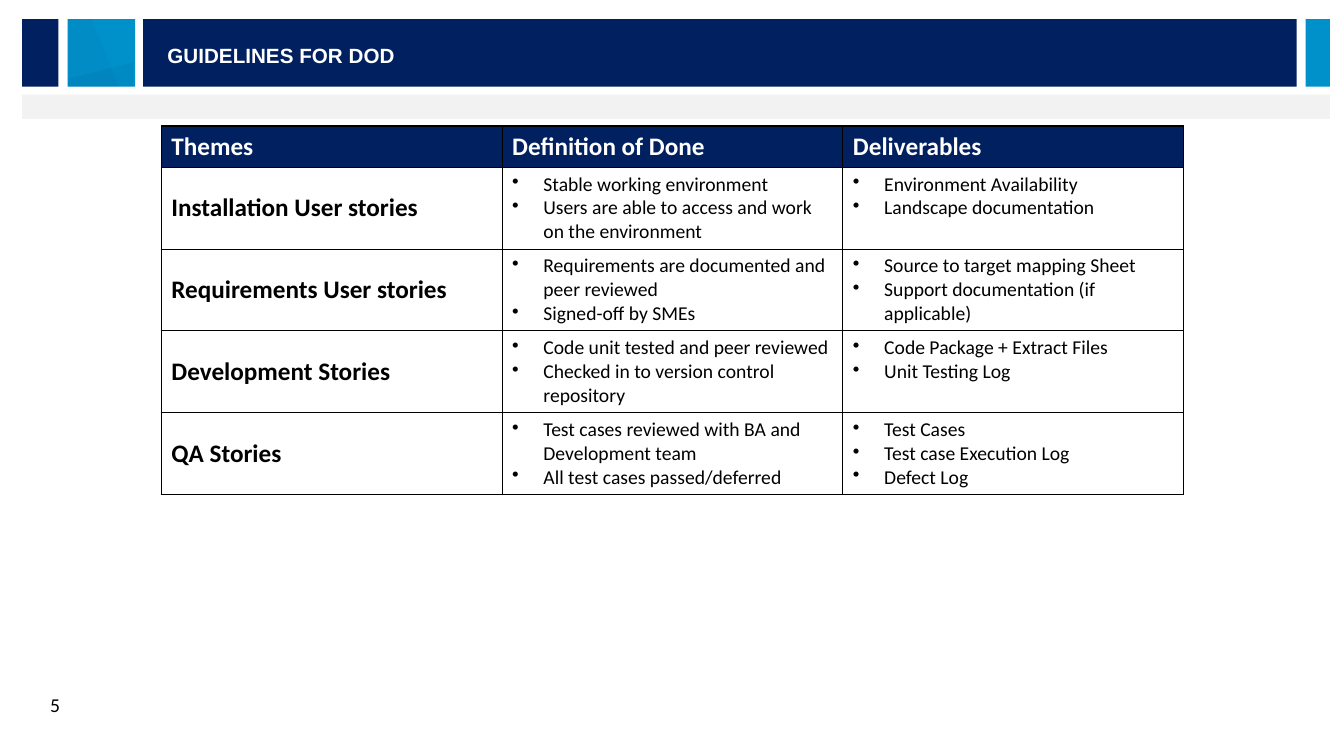
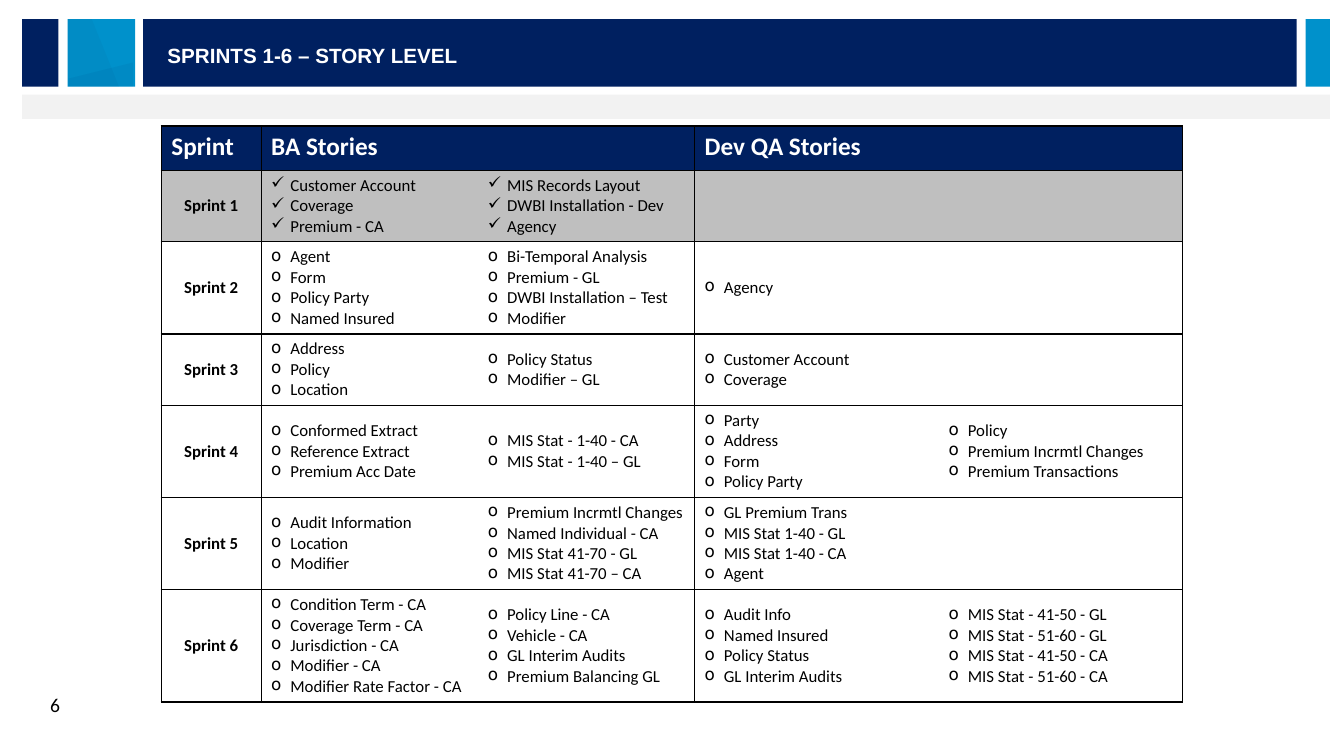
"""Build two project slides: the definition of done and the sprint stories."""
from lxml import etree
from pptx import Presentation
from pptx.dml.color import RGBColor
from pptx.enum.shapes import MSO_SHAPE
from pptx.enum.text import MSO_ANCHOR, MSO_AUTO_SIZE, PP_ALIGN
from pptx.oxml.ns import qn
from pptx.util import Inches, Pt

RECTANGLE = MSO_SHAPE.RECTANGLE
TOP, MIDDLE = MSO_ANCHOR.TOP, MSO_ANCHOR.MIDDLE
LEFT, CENTER = PP_ALIGN.LEFT, PP_ALIGN.CENTER
FIXED, GROW = MSO_AUTO_SIZE.NONE, MSO_AUTO_SIZE.SHAPE_TO_FIT_TEXT

COLORS = {
    "navy": "002060", "blue": "0091CB", "slate": "17375E", "pale": "F2F2F2",
    "done": "BFBFBF", "white": "FFFFFF", "black": "000000",
}
FIRST_PAGE = 5
TABLE_LEFT, TABLE_TOP = 1.6, 1.25
LINE_FACTOR = 1.22
CELL_PADDING = 0.1

BAND_TOP, BAND_HEIGHT = 0.19, 0.67
BAND_BOTTOM = BAND_TOP + BAND_HEIGHT
BANDS = [
    (1.42, BAND_TOP, 11.44, BAND_HEIGHT, "navy"),
    (0.67, BAND_TOP, 0.67, BAND_HEIGHT, "blue"),
    (0.22, BAND_TOP, 0.36, BAND_HEIGHT, "navy"),
    (12.95, BAND_TOP, 0.24, BAND_HEIGHT, "blue"),
    (0.22, 0.94, 12.97, 0.24, "pale"),
]
FACETS = [
    ([(0.67, BAND_TOP), (0.91, BAND_TOP), (1.18, BAND_BOTTOM), (0.67, BAND_BOTTOM)], "slate", 5),
    ([(1.32, 0.62), (0.68, 0.78), (0.68, BAND_BOTTOM), (1.32, BAND_BOTTOM)], "navy", 6),
]

TITLE_FONT = {"name": "Arial", "size": Pt(14.7), "bold": True}
PAGE_FONT = {"name": "Calibri", "size": Pt(14), "bold": False}
HEADER_FONT = {"name": "Calibri", "size": Pt(18), "bold": True}

PAGES = [
    {
        "title": "GUIDELINES FOR DOD",
        "columns": [3.38] * 3,
        "headers": ["Themes", "Definition of Done", "Deliverables"],
        "header_height": 0.41,
        "label": {"size": 18, "align": LEFT},
        "items": {"size": 14, "indent": 0.31, "anchor": TOP},
        "bullet": "•",
        "min_lines": 3,
        "done_rows": 0,
        "rows": [
            ("Installation User stories",
             ["Stable working environment",
              "Users are able to access and work on the environment"],
             ["Environment Availability", "Landscape documentation"]),
            ("Requirements User stories",
             ["Requirements are documented and peer reviewed", "Signed-off by SMEs"],
             ["Source to target mapping Sheet", "Support documentation (if applicable)"]),
            ("Development Stories",
             ["Code unit tested and peer reviewed",
              "Checked in to version control repository"],
             ["Code Package + Extract Files", "Unit Testing Log"]),
            ("QA Stories",
             ["Test cases reviewed with BA and Development team",
              "All test cases passed/deferred"],
             ["Test Cases", "Test case Execution Log", "Defect Log"]),
        ],
    },
    {
        "title": "SPRINTS 1-6 – STORY LEVEL",
        "columns": [0.99, 2.15, 2.15, 2.42, 2.42],
        "headers": ["Sprint", "BA Stories", None, "Dev QA Stories", None],
        "header_height": 0.44,
        "label": {"size": 12, "align": CENTER},
        "items": {"size": 12, "indent": 0.19, "anchor": MIDDLE},
        "bullet": "o",
        "min_lines": 1,
        "done_rows": 1,
        "rows": [
            ("Sprint 1",
             ["Customer Account", "Coverage", "Premium - CA"],
             ["MIS Records Layout", "DWBI Installation - Dev", "Agency"], [], []),
            ("Sprint 2",
             ["Agent", "Form", "Policy Party", "Named Insured"],
             ["Bi-Temporal Analysis", "Premium - GL", "DWBI Installation – Test", "Modifier"],
             ["Agency"], []),
            ("Sprint 3",
             ["Address", "Policy", "Location"],
             ["Policy Status", "Modifier – GL"],
             ["Customer Account", "Coverage"], []),
            ("Sprint 4",
             ["Conformed Extract", "Reference Extract", "Premium Acc Date"],
             ["MIS Stat - 1-40 - CA", "MIS Stat - 1-40 – GL"],
             ["Party", "Address", "Form", "Policy Party"],
             ["Policy", "Premium Incrmtl Changes", "Premium Transactions"]),
            ("Sprint 5",
             ["Audit Information", "Location", "Modifier"],
             ["Premium Incrmtl Changes", "Named Individual - CA",
              "MIS Stat 41-70 - GL", "MIS Stat 41-70 – CA"],
             ["GL Premium Trans", "MIS Stat 1-40 - GL", "MIS Stat 1-40 - CA", "Agent"], []),
            ("Sprint 6",
             ["Condition Term - CA", "Coverage Term - CA", "Jurisdiction - CA",
              "Modifier - CA", "Modifier Rate Factor - CA"],
             ["Policy Line - CA", "Vehicle - CA", "GL Interim Audits", "Premium Balancing GL"],
             ["Audit Info", "Named Insured", "Policy Status", "GL Interim Audits"],
             ["MIS Stat - 41-50 - GL", "MIS Stat - 51-60 - GL",
              "MIS Stat - 41-50 - CA", "MIS Stat - 51-60 - CA"]),
        ],
    },
]


def rgb(color):
    return RGBColor.from_string(COLORS[color])


def place(shape, left, top, width, height):
    for name, value in zip(("left", "top", "width", "height"), (left, top, width, height)):
        setattr(shape, name, Inches(value))


def write(para, text, font, color, align=LEFT):
    para.alignment = align
    span = para.add_run()
    span.text = text
    for name, value in font.items():
        setattr(span.font, name, value)
    span.font.color.rgb = rgb(color)


def paint(shape, color):
    shape.shadow.inherit = False
    shape.fill.solid()
    shape.fill.fore_color.rgb = rgb(color)
    shape.line.fill.background()


def add_bands(layout, page):
    """Draw the shared bands and hand them over to the layout."""
    for placeholder in list(layout.placeholders)[1:]:
        placeholder.element.getparent().remove(placeholder.element)
    parts = []
    for left, top, width, height, color in BANDS:
        box = page.shapes.add_shape(RECTANGLE, *map(Inches, (left, top, width, height)))
        paint(box, color)
        parts.append(box)
    for points, color, opacity in FACETS:
        corners = [(Inches(x), Inches(y)) for x, y in points]
        builder = page.shapes.build_freeform(*corners[0])
        builder.add_line_segments(corners[1:], close=True)
        facet = builder.convert_to_shape()
        paint(facet, color)
        tint = facet.element.find(".//" + qn("a:srgbClr"))
        etree.SubElement(tint, qn("a:alpha"), val=str(opacity * 1000))
        parts.append(facet)
    for part in parts:
        layout.shapes.element.append(part.element)


def add_title(page, text):
    title = page.shapes.title
    place(title, 1.56, 0.38, 8.22, 0.33)
    frame = title.text_frame
    frame.auto_size = FIXED
    frame.vertical_anchor = MIDDLE
    write(frame.paragraphs[0], text, TITLE_FONT, "white")


def add_page_number(page, number):
    box = page.shapes.add_textbox(*map(Inches, (0.4, 6.83, 0.3, 0.34)))
    box.text_frame.word_wrap = False
    box.text_frame.auto_size = GROW
    write(box.text_frame.paragraphs[0], str(number), PAGE_FONT, "black")


def style_cell(cell, color, open_side=None):
    properties = cell._tc.get_or_add_tcPr()
    for side in "LRTB":
        line = etree.SubElement(properties, qn("a:ln" + side), w=str(Pt(1)))
        if side == open_side:
            etree.SubElement(line, qn("a:noFill"))
        else:
            fill = etree.SubElement(line, qn("a:solidFill"))
            etree.SubElement(fill, qn("a:srgbClr"), val=COLORS["black"])
    cell.fill.solid()
    cell.fill.fore_color.rgb = rgb(color)


def write_items(cell, items, bullet, size, indent, anchor):
    cell.vertical_anchor = anchor
    font = {"name": "Calibri", "size": Pt(size), "bold": False}
    for index, text in enumerate(items):
        para = cell.text_frame.add_paragraph() if index else cell.text_frame.paragraphs[0]
        write(para, text, font, "black")
        properties = para._p.get_or_add_pPr()
        properties.set("marL", str(Inches(indent)))
        properties.set("indent", str(-Inches(indent)))
        etree.SubElement(properties, qn("a:buChar"), char=bullet)


def add_story_table(page, content):
    headers, rows, columns = content["headers"], content["rows"], content["columns"]
    line_height = content["items"]["size"] * LINE_FACTOR / 72
    heights = [content["header_height"]] + [
        max(content["min_lines"], *map(len, lists)) * line_height + CELL_PADDING
        for _, *lists in rows
    ]
    size = (TABLE_LEFT, TABLE_TOP, sum(columns), sum(heights))
    table = page.shapes.add_table(len(heights), len(columns), *map(Inches, size)).table
    table.first_row = table.horz_banding = False
    for column, width in zip(table.columns, columns):
        column.width = Inches(width)
    for row, height in zip(table.rows, heights):
        row.height = Inches(height)

    open_sides = {}
    for index, text in enumerate(headers):
        cell = table.cell(0, index)
        style_cell(cell, "navy")
        if text is None:
            open_sides.update({index - 1: "R", index: "L"})
            table.cell(0, index - 1).merge(cell)
        else:
            write(cell.text_frame.paragraphs[0], text, HEADER_FONT, "white")

    label = content["label"]
    label_font = {**HEADER_FONT, "size": Pt(label["size"])}
    for number, (name, *lists) in enumerate(rows, 1):
        done = number <= content["done_rows"]
        for index in range(len(columns)):
            style_cell(table.cell(number, index), "done" if done else "white",
                       open_sides.get(index))
        heading = table.cell(number, 0)
        heading.vertical_anchor = MIDDLE
        write(heading.text_frame.paragraphs[0], name, label_font, "black", label["align"])
        for index, items in enumerate(lists, 1):
            write_items(table.cell(number, index), items,
                        "✓" if done else content["bullet"], **content["items"])


def main():
    deck = Presentation()
    deck.slide_width, deck.slide_height = Inches(13.33), Inches(7.5)
    layout = deck.slide_layouts[5]
    for number, content in enumerate(PAGES, FIRST_PAGE):
        page = deck.slides.add_slide(layout)
        if number == FIRST_PAGE:
            add_bands(layout, page)
        add_title(page, content["title"])
        add_story_table(page, content)
        add_page_number(page, number)
    deck.save("out.pptx")


if __name__ == "__main__":
    main()
